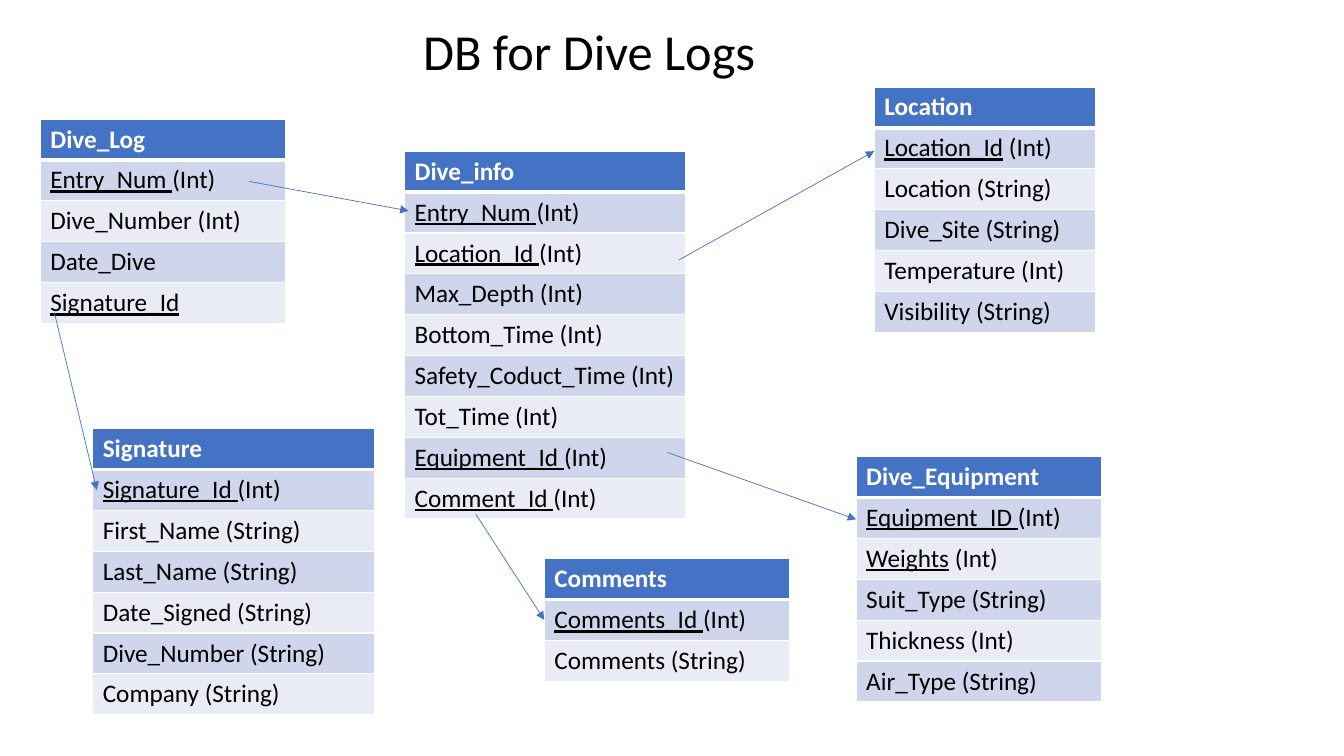
from dataclasses import dataclass
from typing import Any, NamedTuple

from lxml import etree
from pptx import Presentation
from pptx import util as u
from pptx.dml.color import RGBColor
from pptx.enum import shapes
from pptx.oxml import ns


@dataclass(frozen=True)
class Theme:
    header: str = "4472C4"
    bands: tuple[str, str] = ("CFD5EA", "E9EBF5")
    light: str = "FFFFFF"
    dark: str = "000000"
    font: str = "Calibri"
    title_size: float = 36
    body_size: float = 18
    link_width: float = 0.5
    rule: float = 1
    header_rule: float = 3


class Field(NamedTuple):
    plain: str
    key: str = ""


class Spot(NamedTuple):
    """Shares of the slide's width and height, in percent."""
    x: float
    y: float


class Entity(NamedTuple):
    name: str
    corner: Spot
    width: float
    fields: list[Field]


class Link(NamedTuple):
    start: Spot
    end: Spot


THEME = Theme()
SLIDE_W, SLIDE_H = u.Inches(13.333), u.Inches(7.5)
ROW = 5.41
NARROW, MEDIUM, WIDE = 16.5, 18.25, 20.95

ENTITIES = [
    Entity("Dive_Log", Spot(3, 15.75), MEDIUM, [
        Field("(Int)", "Entry_Num "), Field("Dive_Number (Int)"),
        Field("Date_Dive"), Field("", "Signature_Id")]),
    Entity("Dive_info", Spot(30.1, 20), WIDE, [
        Field("(Int)", "Entry_Num "), Field("(Int)", "Location_Id "),
        Field("Max_Depth (Int)"), Field("Bottom_Time (Int)"),
        Field("Safety_Coduct_Time (Int)"), Field("Tot_Time (Int)"),
        Field("(Int)", "Equipment_Id "), Field("(Int)", "Comment_Id ")]),
    Entity("Signature", Spot(6.9, 56.7), WIDE, [
        Field("(Int)", "Signature_Id "), Field("First_Name (String)"),
        Field("Last_Name (String)"), Field("Date_Signed (String)"),
        Field("Dive_Number (String)"), Field("Company (String)")]),
    Entity("Comments", Spot(40.5, 73.9), MEDIUM, [
        Field("(Int)", "Comments_Id "), Field("Comments (String)")]),
    Entity("Dive_Equipment", Spot(63.7, 60.4), MEDIUM, [
        Field("(Int)", "Equipment_ID "), Field(" (Int)", "Weights"),
        Field("Suit_Type (String)"), Field("Thickness (Int)"),
        Field("Air_Type (String)")]),
    Entity("Location", Spot(65.05, 11.5), NARROW, [
        Field(" (Int)", "Location_Id"), Field("Location (String)"),
        Field("Dive_Site (String)"), Field("Temperature (Int)"),
        Field("Visibility (String)")]),
]

LINKS = [
    Link(Spot(18.55, 24), Spot(30.4, 27.9)),
    Link(Spot(4.05, 41.35), Spot(7.2, 64.8)),
    Link(Spot(35.4, 68), Spot(40.5, 82)),
    Link(Spot(49.65, 59.85), Spot(63.7, 68.7)),
    Link(Spot(50.5, 34.4), Spot(65.05, 20)),
]


def across(share: float) -> u.Emu:
    return u.Emu(round(SLIDE_W * share / 100))


def down(share: float) -> u.Emu:
    return u.Emu(round(SLIDE_H * share / 100))


def add_words(paragraph: Any, words: str, color: str, size: float, **extra: bool) -> None:
    run = paragraph.add_run()
    run.text = words
    run.font.color.rgb = RGBColor.from_string(color)
    for name, value in {"name": THEME.font, "size": u.Pt(size), **extra}.items():
        setattr(run.font, name, value)


def style_cell(cell: Any, fill: str, top: float, bottom: float) -> None:
    # Borders come before the fill in the cell's properties
    props = cell._tc.get_or_add_tcPr()
    rules = {"a:lnL": THEME.rule, "a:lnR": THEME.rule, "a:lnT": top, "a:lnB": bottom}
    for side, width in rules.items():
        rule = etree.SubElement(props, ns.qn(side), w=str(u.Pt(width)))
        paint = etree.SubElement(rule, ns.qn("a:solidFill"))
        etree.SubElement(paint, ns.qn("a:srgbClr"), val=THEME.light)
    cell.fill.solid()
    cell.fill.fore_color.rgb = RGBColor.from_string(fill)


def draw_entity(slide: Any, entity: Entity) -> None:
    count = len(entity.fields) + 1
    table = slide.shapes.add_table(
        count, 1, across(entity.corner.x), down(entity.corner.y),
        across(entity.width), down(ROW) * count).table

    # Header row
    header = table.cell(0, 0)
    style_cell(header, THEME.header, THEME.rule, THEME.header_rule)
    add_words(header.text_frame.paragraphs[0], entity.name, THEME.light,
              THEME.body_size, bold=True)

    # Banded field rows, keys underlined
    for index, field in enumerate(entity.fields):
        cell = table.cell(index + 1, 0)
        top = THEME.rule if index else THEME.header_rule
        style_cell(cell, THEME.bands[index % 2], top, THEME.rule)
        for words, is_key in ((field.key, True), (field.plain, False)):
            if words:
                add_words(cell.text_frame.paragraphs[0], words, THEME.dark,
                          THEME.body_size, bold=False, underline=is_key)


def draw_link(slide: Any, link: Link) -> None:
    arrow = slide.shapes.add_connector(
        shapes.MSO_CONNECTOR.STRAIGHT, across(link.start.x), down(link.start.y),
        across(link.end.x), down(link.end.y))
    arrow.line.width = u.Pt(THEME.link_width)
    arrow.line.color.rgb = RGBColor.from_string(THEME.header)
    etree.SubElement(arrow.line._get_or_add_ln(), ns.qn("a:tailEnd"), type="triangle")
    etree.SubElement(arrow._element.spPr, ns.qn("a:effectLst"))


def draw_title(slide: Any) -> None:
    title = slide.shapes.add_textbox(across(30.75), down(2), across(27.7), down(9.45))
    title.text_frame.word_wrap = True
    add_words(title.text_frame.paragraphs[0], "DB for Dive Logs", THEME.dark,
              THEME.title_size)


def main() -> None:
    deck = Presentation()
    deck.slide_width, deck.slide_height = SLIDE_W, SLIDE_H
    slide = deck.slides.add_slide(deck.slide_layouts[6])
    for entity in ENTITIES:
        draw_entity(slide, entity)
    for link in LINKS:
        draw_link(slide, link)
    draw_title(slide)
    deck.save("out.pptx")


if __name__ == "__main__":
    main()
